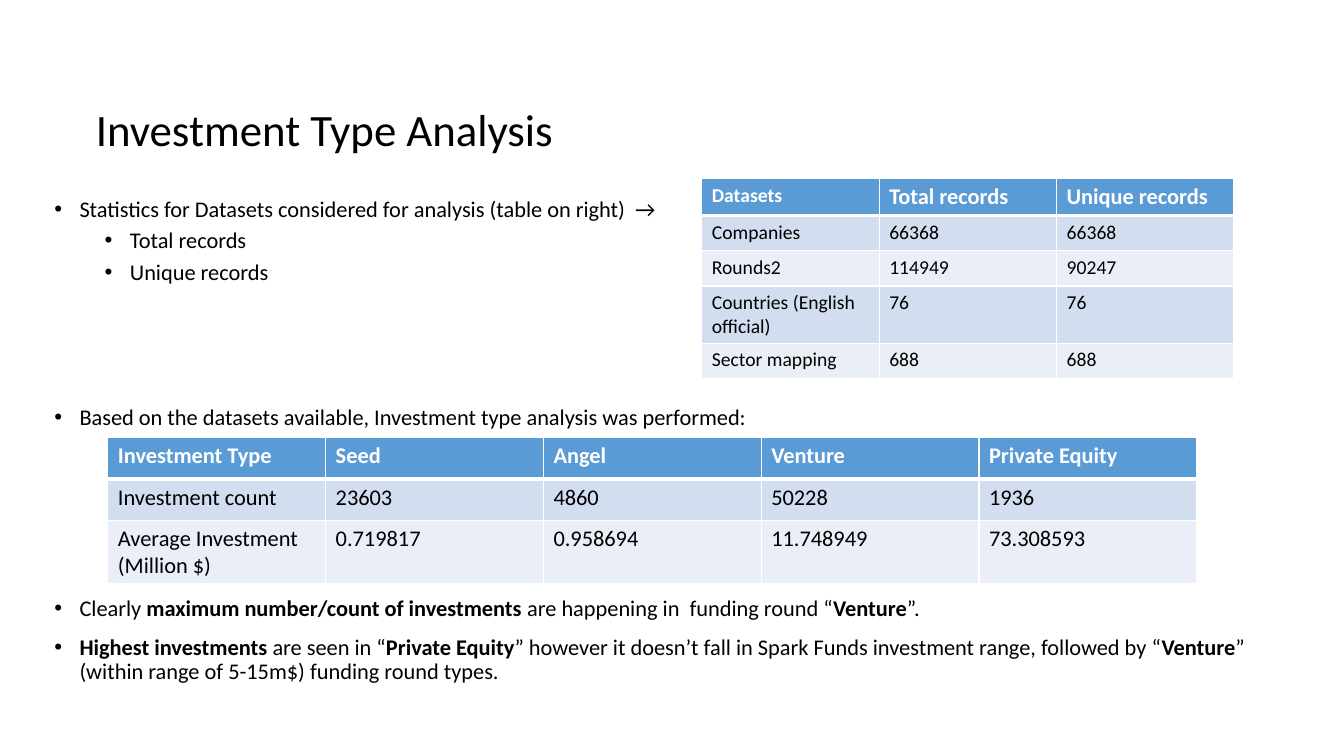
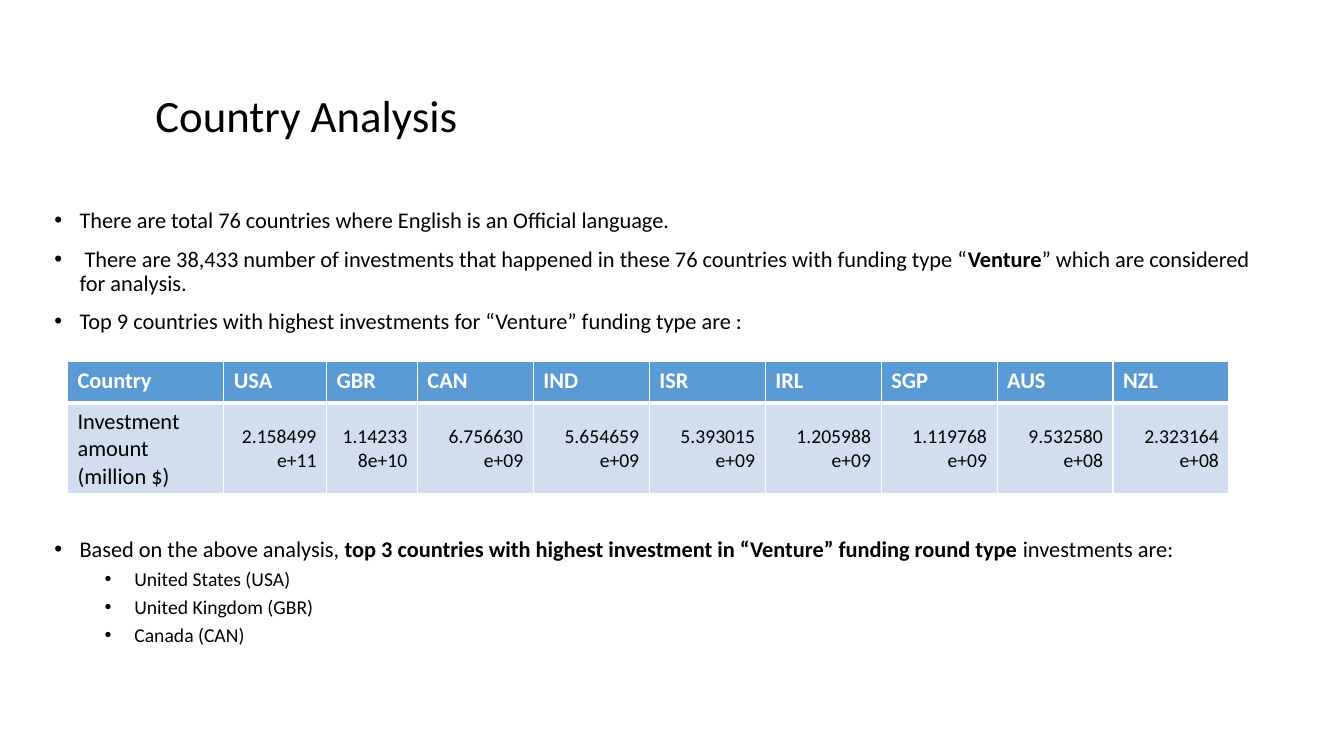
from dataclasses import dataclass

from lxml import etree
from pptx import Presentation
from pptx import util as u
from pptx.dml.color import RGBColor
from pptx.enum import text
from pptx.oxml import ns

PX = 9144


@dataclass(frozen=True)
class Theme:
    font: str = "Calibri"
    black: RGBColor = RGBColor(0x00, 0x00, 0x00)
    white: RGBColor = RGBColor(0xFF, 0xFF, 0xFF)
    header: RGBColor = RGBColor(0x5B, 0x9B, 0xD5)
    bands: tuple = (RGBColor(0xD2, 0xDE, 0xEF), RGBColor(0xEA, 0xEF, 0xF7))
    title_size: u.Pt = u.Pt(32)
    body_size: u.Pt = u.Pt(16)
    small_size: u.Pt = u.Pt(14)
    thin_line: u.Pt = u.Pt(1)
    thick_line: u.Pt = u.Pt(3)


theme = Theme()


def add_bullets(slide, top, height, items):
    box = slide.shapes.add_textbox(44 * PX, top * PX, 1221 * PX, height * PX)
    frame = box.text_frame
    frame.word_wrap = True
    for index, (level, size, content) in enumerate(items):
        paragraph = frame.add_paragraph() if index else frame.paragraphs[0]
        paragraph.level = level
        paragraph.line_spacing = 0.9
        paragraph.space_before = u.Pt(5 if level else 10)
        properties = paragraph._p.get_or_add_pPr()
        properties.set("marL", str((25 + 50 * level) * PX))
        properties.set("indent", str(-25 * PX))
        etree.SubElement(properties, ns.qn("a:buFont"), typeface="Arial")
        etree.SubElement(properties, ns.qn("a:buChar"), char="•")
        paragraph.font.name = theme.font
        paragraph.font.size = size
        paragraph.font.color.rgb = theme.black
        for position, part in enumerate(content.split("**")):
            if part:
                run = paragraph.add_run()
                run.text = part
                if position % 2:
                    run.font.bold = True


def add_data_table(slide, left, top, widths, heights, rows, size):
    frame = slide.shapes.add_table(len(rows), len(widths), left * PX, top * PX,
                                   sum(widths) * PX, sum(heights) * PX)
    table = frame.table
    for column, width in zip(table.columns, widths):
        column.width = width * PX
    for index, (row, height, values) in enumerate(zip(table.rows, heights, rows)):
        row.height = height * PX
        is_header = index == 0
        for cell, value in zip(row.cells, values):
            cell.text = value
            cell.fill.solid()
            cell.fill.fore_color.rgb = theme.header if is_header else theme.bands[(index - 1) % 2]
            for paragraph in cell.text_frame.paragraphs:
                paragraph.font.name = theme.font
                paragraph.font.size = theme.body_size if is_header else size
                paragraph.font.bold = is_header
                paragraph.font.color.rgb = theme.white if is_header else theme.black
            for order, side in enumerate("LRTB"):
                thick = (index, side) in ((0, "B"), (1, "T"))
                width = theme.thick_line if thick else theme.thin_line
                line = etree.Element(ns.qn(f"a:ln{side}"), w=str(int(width)))
                fill = etree.SubElement(line, ns.qn("a:solidFill"))
                etree.SubElement(fill, ns.qn("a:srgbClr"), val=str(theme.white))
                cell._tc.get_or_add_tcPr().insert(order, line)
    return table


presentation = Presentation()
presentation.slide_width = 1333 * PX
presentation.slide_height = 750 * PX

slides = []
for heading, left, top in (("Investment Type Analysis", 85, 84), ("Country Analysis", 144, 70)):
    slide = presentation.slides.add_slide(presentation.slide_layouts[5])
    title = slide.shapes.title
    title.left, title.top, title.width, title.height = left * PX, top * PX, 1000 * PX, 94 * PX
    title.text_frame.text = heading
    title.text_frame.vertical_anchor = text.MSO_ANCHOR.MIDDLE
    paragraph = title.text_frame.paragraphs[0]
    paragraph.alignment = text.PP_ALIGN.LEFT
    paragraph.line_spacing = 0.9
    paragraph.font.name = theme.font
    paragraph.font.size = theme.title_size
    paragraph.font.color.rgb = theme.black
    slides.append(slide)
investment_slide, country_slide = slides

add_bullets(investment_slide, 192, 100, [
    (0, theme.body_size, "Statistics for Datasets considered for analysis (table on right)  →"),
    (1, theme.body_size, "Total records"),
    (1, theme.body_size, "Unique records"),
])
datasets = add_data_table(investment_slide, 696, 177, [176] * 3, [35, 35, 35, 48, 35], [
    ("Datasets", "Total records", "Unique records"),
    ("Companies", "66368", "66368"),
    ("Rounds2", "114949", "90247"),
    ("Countries (English official)", "76", "76"),
    ("Sector mapping", "688", "688"),
], theme.small_size)
datasets.cell(0, 0).text_frame.paragraphs[0].font.size = theme.small_size

add_bullets(investment_slide, 398, 34, [
    (0, theme.body_size, "Based on the datasets available, Investment type analysis was performed:"),
])
add_data_table(investment_slide, 107, 434, [216] * 5, [41] * 3, [
    ("Investment Type", "Seed", "Angel", "Venture", "Private Equity"),
    ("Investment count", "23603", "4860", "50228", "1936"),
    ("Average Investment (Million $)", "0.719817", "0.958694", "11.748949", "73.308593"),
], theme.body_size)
add_bullets(investment_slide, 588, 100, [
    (0, theme.body_size, "Clearly **maximum number/count of investments **are happening in  "
                         "funding round “**Venture**”."),
    (0, theme.body_size, "**Highest investments **are seen in “**Private Equity**” however it doesn’t "
                         "fall in Spark Funds investment range, followed by “**Venture**” "
                         "(within range of 5-15m$) funding round types."),
])

add_bullets(country_slide, 203, 140, [
    (0, theme.body_size, "There are total 76 countries where English is an Official language."),
    (0, theme.body_size, " There are 38,433 number of investments that happened in these 76 countries "
                         "with funding type “**Venture**” which are considered for analysis."),
    (0, theme.body_size, "Top 9 countries with highest investments for “Venture” funding type are :"),
])
countries = add_data_table(country_slide, 67, 359, [155, 102, 90] + [115] * 7, [41, 41], [
    ("Country", "USA", "GBR", "CAN", "IND", "ISR", "IRL", "SGP", "AUS", "NZL"),
    ("Investment amount (million $)", "2.158499e+11", "1.142338e+10", "6.756630\ne+09",
     "5.654659\ne+09", "5.393015\ne+09", "1.205988\ne+09", "1.119768\ne+09",
     "9.532580\ne+08", "2.323164\ne+08"),
], theme.body_size)
for column in range(1, len(countries.columns)):
    cell = countries.cell(1, column)
    cell.vertical_anchor = text.MSO_ANCHOR.MIDDLE
    for paragraph in cell.text_frame.paragraphs:
        paragraph.alignment = text.PP_ALIGN.RIGHT
        paragraph.font.size = theme.small_size

add_bullets(country_slide, 529, 125, [
    (0, theme.body_size, "Based on the above analysis, **top 3 countries with highest investment in "
                         "“Venture” funding round type **investments are:"),
    (1, theme.small_size, " United States (USA)"),
    (1, theme.small_size, " United Kingdom (GBR)"),
    (1, theme.small_size, " Canada (CAN)"),
])

presentation.save("out.pptx")
